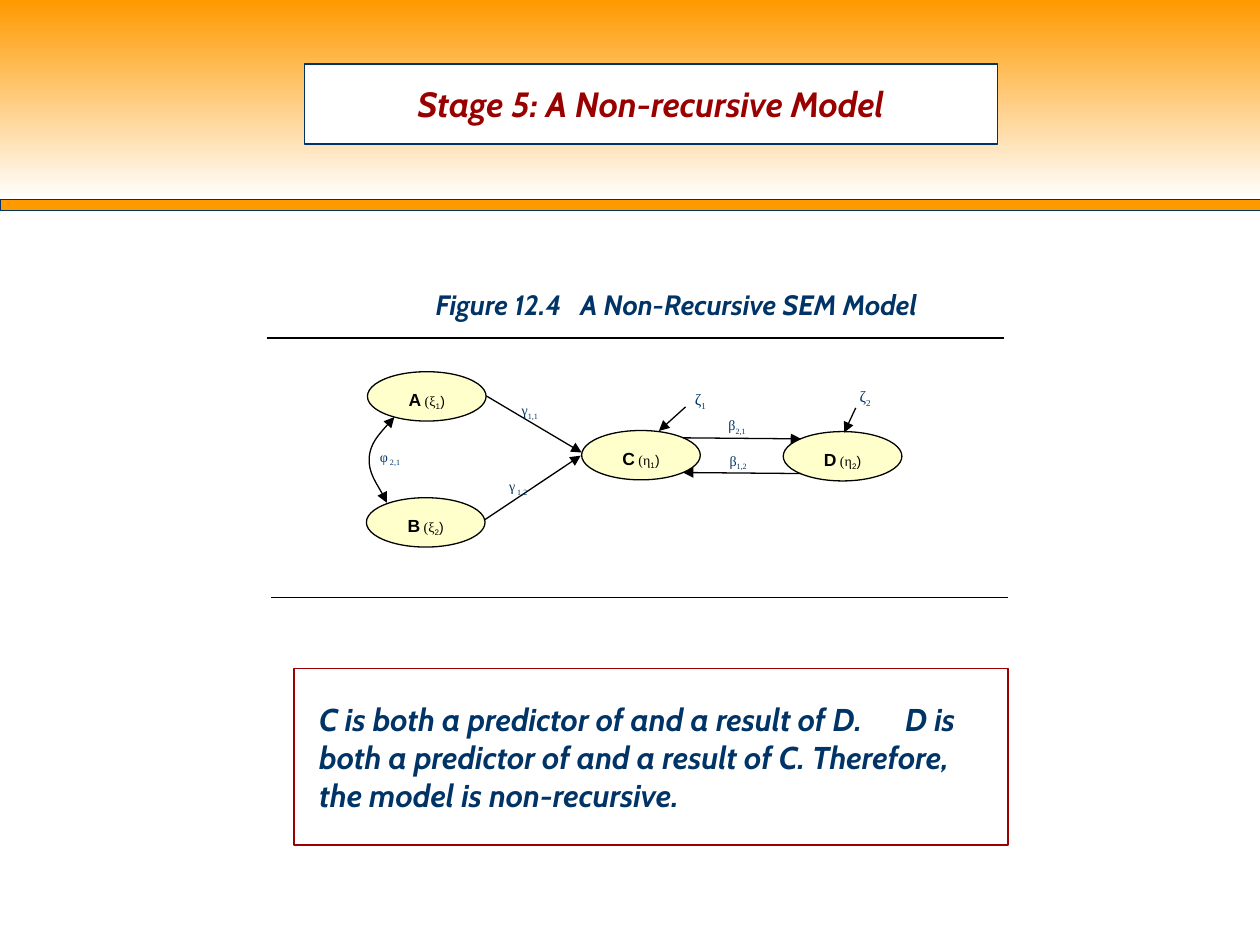
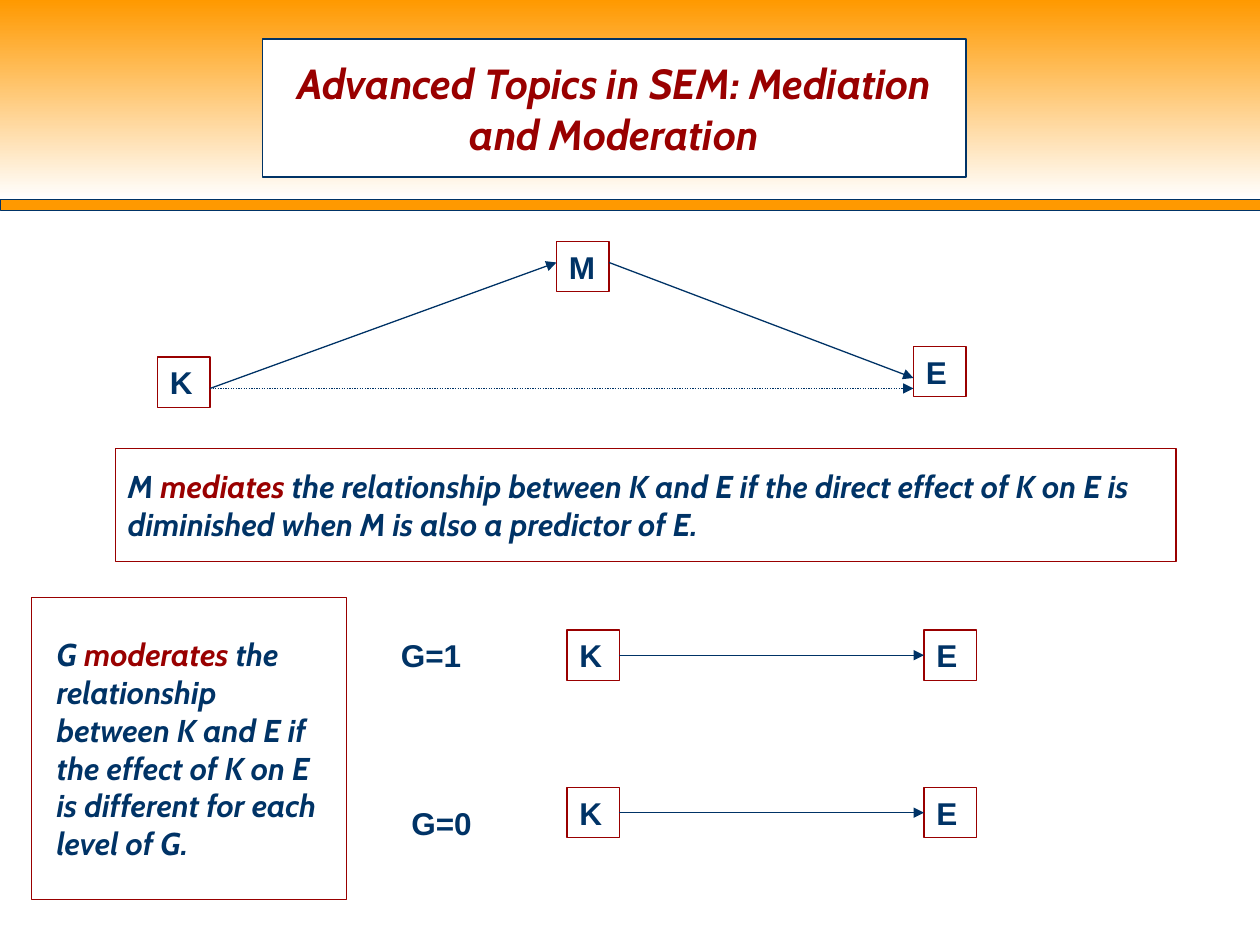
from dataclasses import dataclass
from lxml.etree import SubElement
from pptx import Presentation
from pptx.dml.color import RGBColor
from pptx.enum.dml import MSO_LINE
from pptx.enum.shapes import MSO_CONNECTOR, MSO_SHAPE
from pptx.enum.text import MSO_ANCHOR, PP_ALIGN
from pptx.oxml.ns import qn
from pptx.util import Inches, Pt

COLS, ROWS = 120, 90  # slide grid, twelve cells to the inch


@dataclass(frozen=True)
class Theme:
    navy: str = "003366"
    red: str = "990000"
    gold: str = "FF9900"
    cream: str = "FFFFCC"
    white: str = "FFFFFF"
    black: str = "000000"
    head: str = "Cabin"
    sans: str = "Arial"
    serif: str = "Times New Roman"
    body: int = 18
    note: int = 16
    node: int = 10
    tiny: int = 8
    thin: float = 0.75


T = Theme()


def cell(n):
    return Inches(n / 12)


def rgb(code):
    return RGBColor.from_string(code)


# Text: runs are (text, format) pairs or plain strings
def write(shape, runs, font=T.sans, size=T.body, color=T.navy, bold=False,
          slant=False, align=PP_ALIGN.LEFT, anchor=MSO_ANCHOR.TOP,
          pad=(0.1, 0.05), tab=None, wrap=True):
    frame = shape.text_frame
    frame.word_wrap = wrap
    frame.vertical_anchor = anchor
    frame.margin_left = frame.margin_right = Inches(pad[0])
    frame.margin_top = frame.margin_bottom = Inches(pad[1])
    para = frame.paragraphs[0]
    para.alignment = align
    if tab:
        stops = SubElement(para._p.get_or_add_pPr(), qn("a:tabLst"))
        SubElement(stops, qn("a:tab"), pos=str(Inches(tab)), algn="l")
    base = dict(font=font, size=size, color=color, bold=bold, sub=False)
    for item in [runs] if isinstance(runs, str) else runs:
        text, extra = (item, {}) if isinstance(item, str) else item
        look = {**base, **extra}
        run = para.add_run()
        run.text = text
        run.font.name, run.font.size = look["font"], Pt(look["size"])
        run.font.bold, run.font.italic = look["bold"], slant
        run.font.color.rgb = rgb(look["color"])
        if look["sub"]:
            run._r.get_or_add_rPr().set("baseline", "-25000")


def label(slide, box, runs, **style):
    write(slide.shapes.add_textbox(*map(cell, box)), runs, **style)


def block(slide, box, kind=MSO_SHAPE.RECTANGLE, fill=None, line=None, width=T.thin):
    shape = slide.shapes.add_shape(kind, *map(cell, box))
    shape.shadow.inherit = False
    if fill:
        shape.fill.solid()
        shape.fill.fore_color.rgb = rgb(fill)
    else:
        shape.fill.background()
    if line:
        shape.line.color.rgb = rgb(line)
        shape.line.width = Pt(width)
    else:
        shape.line.fill.background()
    return shape


def tips(shape, *ends):
    for end in ends:
        SubElement(shape.line._get_or_add_ln(), qn("a:" + end), type="triangle")


def link(slide, start, stop, color=T.navy, arrow=True, dash=None):
    line = slide.shapes.add_connector(
        MSO_CONNECTOR.STRAIGHT, *map(cell, (*start, *stop)))
    line.line.color.rgb = rgb(color)
    line.line.width = Pt(T.thin)
    if dash:
        line.line.dash_style = dash
    if arrow:
        tips(line, "tailEnd")
    SubElement(line._element.spPr, qn("a:effectLst"))
    return line


# Shared frame: gradient band, gold bar and title box
def header(slide, box, text, size):
    band = block(slide, (0, 0, COLS, 19))
    band.fill.gradient()
    band.fill.gradient_angle = 270
    for stop, code in zip(band.fill.gradient_stops, (T.gold, T.white)):
        stop.color.rgb = rgb(code)
    block(slide, (0, 19, COLS, 1), fill=T.gold, line=T.navy, width=0.25)
    title = block(slide, box, fill=T.white, line=T.navy, width=1)
    write(title, text, font=T.head, size=size, color=T.red, bold=True, slant=True,
          align=PP_ALIGN.CENTER, anchor=MSO_ANCHOR.MIDDLE, pad=(0.1, 0.15))


def panel(slide, box, runs, pad=(0.1, 0.15), tab=None):
    write(block(slide, box, line=T.red), runs, font=T.head, bold=True, slant=True,
          anchor=MSO_ANCHOR.MIDDLE, pad=pad, tab=tab)


# Double-headed curve: each three points after the first make one Bezier
def curve(slide, points):
    first, *rest = [(cell(x), cell(y)) for x, y in points]
    pen = slide.shapes.build_freeform(*first)
    pen.add_line_segments(rest, close=False)
    shape = pen.convert_to_shape()
    shape.shadow.inherit = False
    shape.fill.background()
    shape.line.color.rgb = rgb(T.black)
    shape.line.width = Pt(T.thin)
    tips(shape, "headEnd", "tailEnd")
    steps = list(shape._element.iter(qn("a:lnTo")))
    for i in range(0, len(steps), 3):
        bend = SubElement(steps[i].getparent(), qn("a:cubicBezTo"))
        for step in steps[i:i + 3]:
            bend.append(step[0])
            step.getparent().remove(step)


# Path model between two rules
def model(slide, box):
    left, top, wide, tall = box

    def at(x, y):
        return left + x, top + y

    for x, y in ((0, 0), (0.4, tall)):
        link(slide, at(x, y), at(x + wide, y), T.black, arrow=False)
    nodes = (("A", "ξ", "1", 9.6, 3.2), ("B", "ξ", "2", 9.5, 15.2),
             ("C", "η", "1", 30, 8.8), ("D", "η", "2", 49.2, 8.9))
    for name, sign, sub, x, y in nodes:
        oval = block(slide, (*at(x, y), 11.3, 4.7), MSO_SHAPE.OVAL, T.cream, T.black)
        write(oval, [(name, dict(size=T.node, bold=True)),
                     (f" ({sign}", dict(font=T.serif)), (sub, dict(sub=True)), ")"],
              size=T.tiny, color=T.black, align=PP_ALIGN.CENTER,
              anchor=MSO_ANCHOR.MIDDLE, pad=(0, 0), wrap=False)
        oval.text_frame.margin_top = Inches(0.06)
    arrows = (((20.9, 5.5), (30, 10.9)), ((20.7, 17.35), (29.9, 11.2)),
              ((39.65, 9.5), (50.9, 9.6)), ((50.9, 12.9), (39.65, 12.8)),
              ((39.9, 6.55), (37.35, 8.85)), ((56.1, 6.65), (55, 9)))
    for start, stop in arrows:
        link(slide, at(*start), at(*stop), T.black)
    curve(slide, [at(*spot) for spot in (
        (12.16, 7.52), (10.96, 8.84), (9.88, 10.04), (9.76, 11.36),
        (9.64, 12.8), (11.2, 14.96), (11.44, 15.68))])
    paths = (("φ", " 2,1", 9.6, 9.9), ("γ", " 1,2", 21.9, 12.7), ("γ", "1,1", 23.1, 5.5),
             ("β", "2,1", 42.8, 6.9), ("β", "1,2", 42.9, 10.3))
    for sign, sub, x, y in paths:
        label(slide, (*at(x, y), 5.5, 3.1), [sign, (sub, dict(sub=True))],
              font=T.serif, size=T.tiny)
    errors = (("1", 39.6, 4.3, PP_ALIGN.LEFT), ("2", 53.8, 4, PP_ALIGN.CENTER))
    for sub, x, y, align in errors:
        label(slide, (*at(x, y), 6.4, 4), ["ζ", (sub, dict(sub=True))],
              font=T.serif, size=9, align=align)


def tile(slide, x, y, name):
    shape = block(slide, (x, y, 5, 4.8), line=T.red)
    write(shape, name, bold=True, wrap=False)
    return shape


# Triangle of K, M and E
def mediate(slide, box):
    left, top, wide, tall = box
    right = left + wide - 5
    for name, x, y in (("K", left, 11), ("M", left + 38, 0), ("E", right, 10)):
        tile(slide, x, top + y, name)
    base = (left + 5, top + 14)
    link(slide, base, (left + 38, top + 2))
    link(slide, (left + 43, top + 2), (right, top + 13))
    link(slide, base, (right, top + 14), dash=MSO_LINE.ROUND_DOT)


# One level of G with its K to E effect
def level(slide, box, text, shift):
    left, top, wide, tall = box
    label(slide, (left + shift, top + shift, 13, tall), text, bold=True)
    cause = tile(slide, left + 17, top, "K")
    effect = tile(slide, left + wide - 5, top, "E")
    line = link(slide, (left + 22, top + 2), (left + wide - 5, top + 2))
    line.begin_connect(cause, 3)
    line.end_connect(effect, 1)


def loop(slide):
    header(slide, (29, 6.1, 66, 7.6), "Stage 5: A Non-recursive Model", 20)
    label(slide, (40.3, 26.8, 53.6, 4.4), "Figure 12.4\tA Non-Recursive SEM Model",
          font=T.head, size=T.note, bold=True, slant=True,
          anchor=MSO_ANCHOR.MIDDLE, tab=1.15)
    model(slide, (25.4, 32.2, 70.2, 24.7))
    panel(slide, (28, 63.7, 68, 16.8),
          "C is both a predictor of and a result of D.\tD is both a predictor of "
          "and a result of C. Therefore, the model is non-recursive.",
          pad=(0.2, 0.25), tab=4.65)


def topics(slide):
    header(slide, (25, 3.7, 67, 13.2),
           "Advanced Topics in SEM: Mediation and Moderation", 24)
    mediate(slide, (15, 23, 77, 15))
    panel(slide, (11, 42.7, 101, 10.8),
          ["M ", ("mediates", dict(color=T.red)),
           " the relationship between K and E if the direct effect of K on E is "
           "diminished when M is also a predictor of E."])
    for i, text in enumerate(("G=1", "G=0")):
        level(slide, (37, 60 + 15 * i, 56, 4.8), text, i)
    panel(slide, (3, 56.9, 30, 28.8),
          ["G ", ("moderates", dict(color=T.red)),
           " the relationship between K and E if the effect of K on E is "
           "different for each level of G."], pad=(0.2, 0.15))


def main():
    deck = Presentation()
    deck.slide_width, deck.slide_height = cell(COLS), cell(ROWS)
    for build in (loop, topics):
        build(deck.slides.add_slide(deck.slide_layouts[6]))
    deck.save("out.pptx")


if __name__ == "__main__":
    main()
